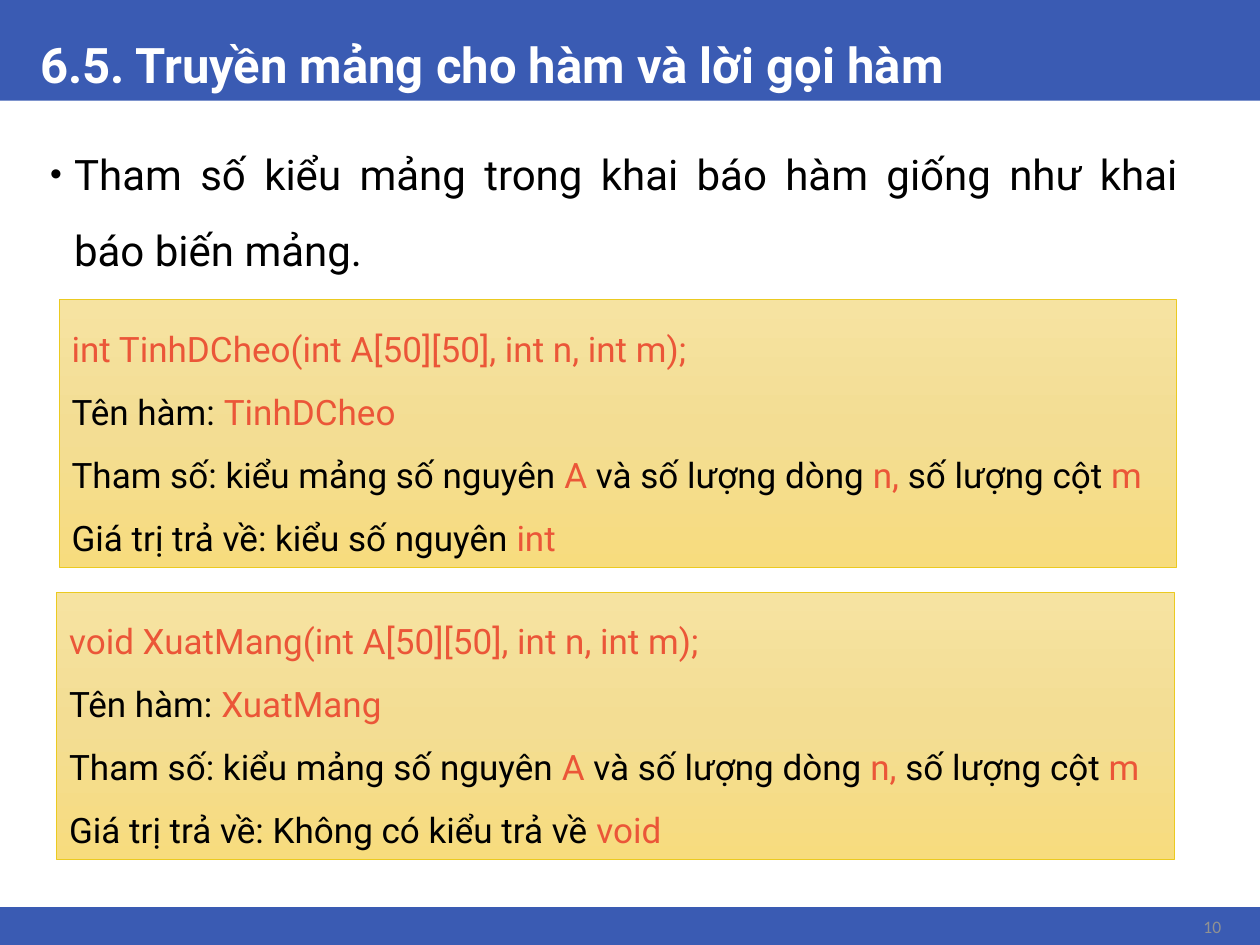
from copy import deepcopy

from lxml import etree
from pptx import Presentation
from pptx.dml.color import RGBColor
from pptx.enum.shapes import MSO_SHAPE as Shape
from pptx.enum.text import MSO_ANCHOR as Anchor, PP_ALIGN as Align
from pptx.oxml.ns import qn
from pptx.util import Inches, Pt

TITLE = "6.5. Truyền mảng cho hàm và lời gọi hàm"
BULLET = "Tham số kiểu mảng trong khai báo hàm giống như khai báo biến mảng."
PAGE_NUMBER = "10"
PARAMETERS = "Tham số: kiểu mảng số nguyên |A |và số lượng dòng |n, |số lượng cột |m"
FUNCTIONS = [
    {
        "position": (0.47, 2.38),
        "lines": [
            "|int TinhDCheo(int A[50][50], int n, int m);",
            "Tên hàm: |TinhDCheo",
            PARAMETERS,
            "Giá trị trả về: kiểu số nguyên |int",
        ],
    },
    {
        "position": (0.45, 4.7),
        "lines": [
            "|void XuatMang(int A[50][50], int n, int m);",
            "Tên hàm: |XuatMang",
            PARAMETERS,
            "Giá trị trả về: Không có kiểu trả về |void",
        ],
    },
]
BARS = [(0, 0, 10, 0.8), (0, 7.2, 10, 0.3)]
BOX_SIZE = (8.87, 2.12)
COLORS = {
    "bar": "3A5BB3",
    "title": "FFFFFF",
    "number": "919292",
    "text": "000000",
    "code": "EB5638",
    "border": "EBCA21",
}
GRADIENT = [(0, "F6E3A1"), (0.5, "F3DD93"), (1, "F7DC7E")]


def rgb(name):
    return RGBColor.from_string(COLORS[name])


def add_rectangle(slide, box):
    shape = slide.shapes.add_shape(Shape.RECTANGLE, *map(Inches, box))
    shape.shadow.inherit = False
    return shape


def style_font(font, size, name="Roboto"):
    font.size = Pt(size)
    font.name = name


def add_text(slide, box, text, size, color, anchor, font_name="Roboto"):
    shape = slide.shapes.add_textbox(*map(Inches, box))
    frame = shape.text_frame
    frame.word_wrap = True
    frame.vertical_anchor = anchor
    paragraph = frame.paragraphs[0]
    paragraph.text = text
    style_font(paragraph.font, size, font_name)
    paragraph.font.color.rgb = rgb(color)
    return paragraph


def add_bullet(paragraph):
    properties = paragraph._p.get_or_add_pPr()
    properties.set("marL", str(Inches(0.23)))
    properties.set("indent", str(Inches(-0.19)))
    children = [("buSzPct", "val", "80000"), ("buFont", "typeface", "Arial"), ("buChar", "char", "•")]
    spacing = properties.find(qn("a:lnSpc"))
    for tag, attribute, value in reversed(children):
        element = etree.Element(qn(f"a:{tag}"))
        element.set(attribute, value)
        spacing.addnext(element)


def fill_gradient(shape):
    fill = shape.fill
    fill.gradient()
    fill.gradient_angle = 270
    first_stop = fill.gradient_stops[0]._gs
    first_stop.addnext(deepcopy(first_stop))
    for stop, (position, color) in zip(fill.gradient_stops, GRADIENT):
        stop.position = position
        stop.color.rgb = RGBColor.from_string(color)


def add_function_box(slide, position, lines):
    shape = add_rectangle(slide, (*position, *BOX_SIZE))
    fill_gradient(shape)
    shape.line.color.rgb = rgb("border")
    shape.line.width = Pt(0.5)
    frame = shape.text_frame
    frame.word_wrap = True
    frame.vertical_anchor = Anchor.TOP
    for index, line in enumerate(lines):
        paragraph = frame.add_paragraph() if index else frame.paragraphs[0]
        paragraph.alignment = Align.LEFT
        paragraph.line_spacing = 1.5
        style_font(paragraph.font, 20)
        for part, text in enumerate(line.split("|")):
            if text:
                run = paragraph.add_run()
                run.text = text
                run.font.color.rgb = rgb("code" if part % 2 else "text")


def main():
    presentation = Presentation()
    presentation.slide_width = Inches(10)
    presentation.slide_height = Inches(7.5)
    slide = presentation.slides.add_slide(presentation.slide_layouts[6])

    for box in BARS:
        bar = add_rectangle(slide, box)
        bar.fill.solid()
        bar.fill.fore_color.rgb = rgb("bar")
        bar.line.fill.background()

    title = add_text(slide, (0.22, 0, 9.57, 0.8), TITLE, 28, "title", Anchor.BOTTOM)
    title.font.bold = True
    title.line_spacing = 0.9

    number = add_text(slide, (9.26, 7.22, 0.53, 0.26), PAGE_NUMBER, 10, "number", Anchor.MIDDLE, "Calibri")
    number.alignment = Align.RIGHT

    body = add_text(slide, (0.26, 0.93, 9.19, 1.29), BULLET, 24, "text", Anchor.TOP)
    body.alignment = Align.JUSTIFY
    body.line_spacing = 1.5
    add_bullet(body)

    for function in FUNCTIONS:
        add_function_box(slide, **function)

    presentation.save("out.pptx")


if __name__ == "__main__":
    main()
